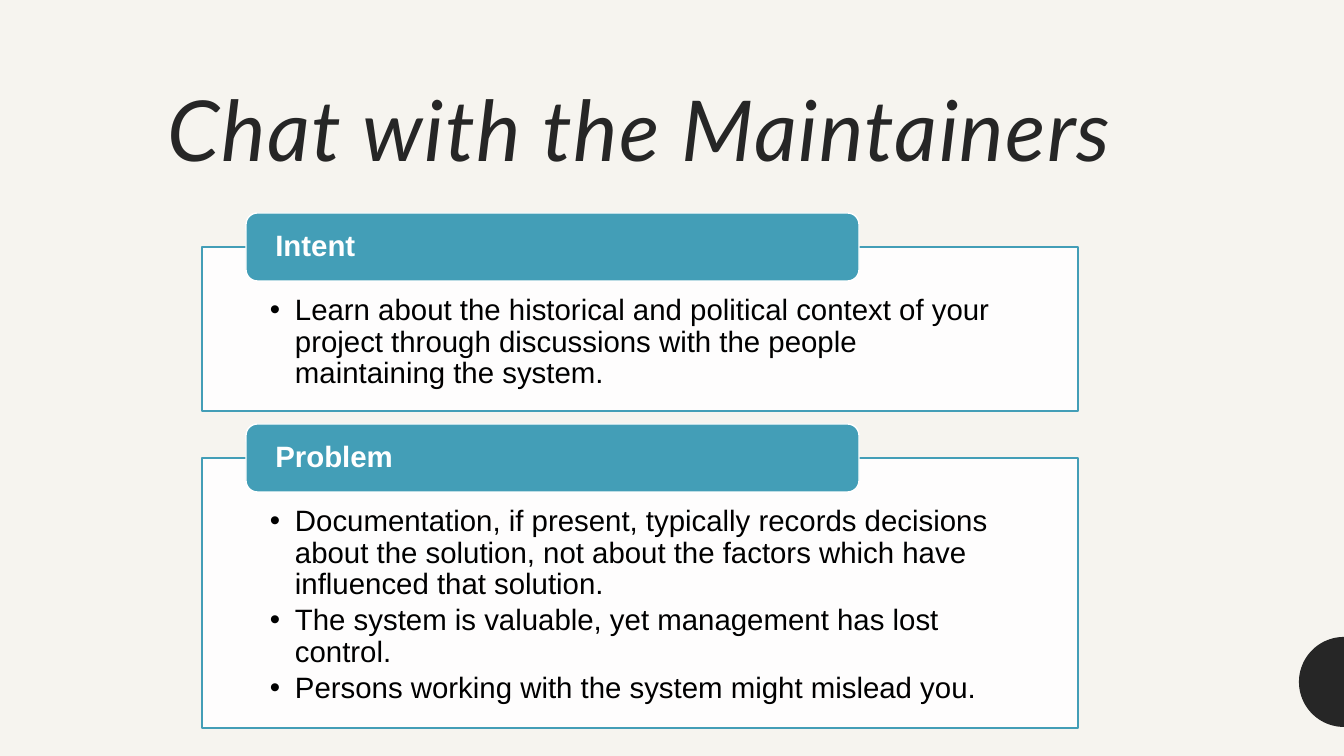
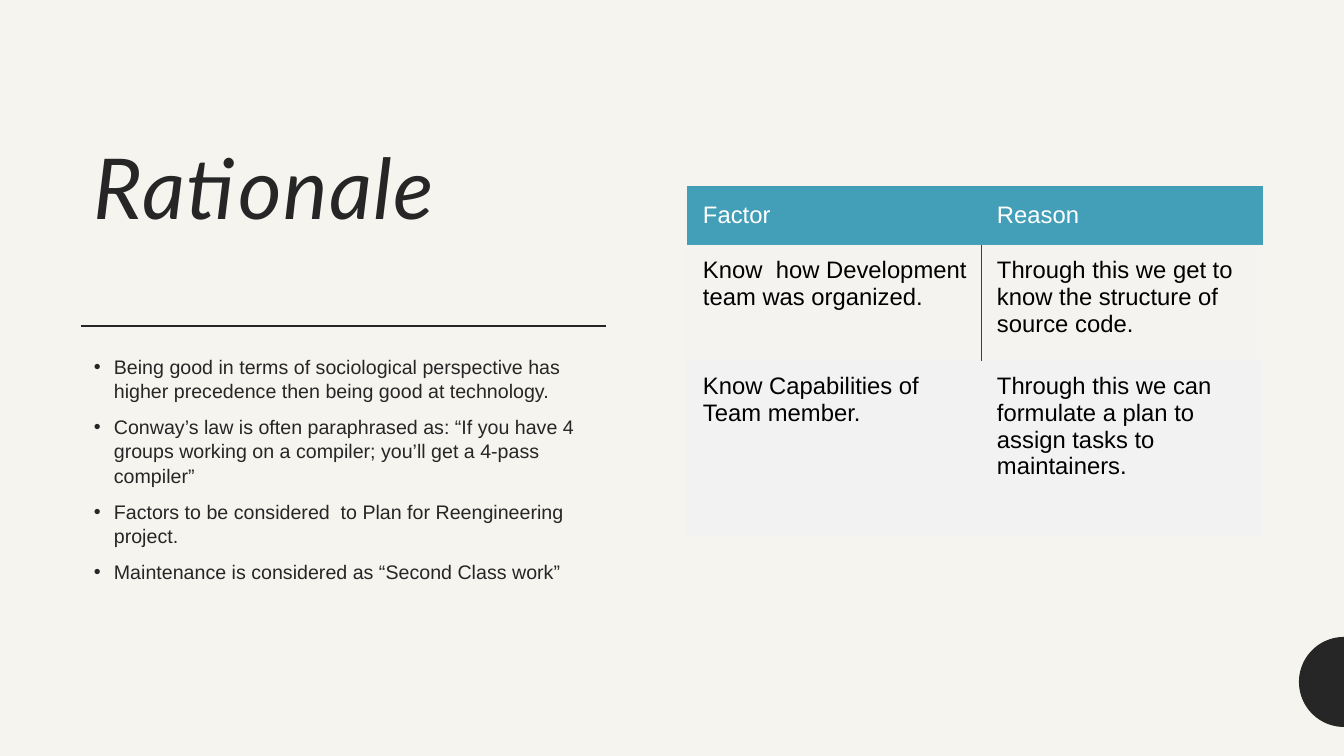
import math
from dataclasses import dataclass
from typing import Optional

from lxml import etree
from pptx import Presentation
from pptx.dml.color import RGBColor
from pptx.enum.shapes import MSO_CONNECTOR, MSO_SHAPE
from pptx.enum.text import MSO_ANCHOR, PP_ALIGN
from pptx.oxml.ns import qn
from pptx.util import Emu, Pt

RECTANGLE = MSO_SHAPE.RECTANGLE
ROUNDED = MSO_SHAPE.ROUNDED_RECTANGLE
STRAIGHT = MSO_CONNECTOR.STRAIGHT
TOP, MIDDLE = MSO_ANCHOR.TOP, MSO_ANCHOR.MIDDLE
LEFT, CENTER = PP_ALIGN.LEFT, PP_ALIGN.CENTER

SLIDE_W, SLIDE_H = 1344, 756
EMU_PER_PX = 12192000 / SLIDE_W

PAPER, INK, TEAL = "F6F4EF", "262626", "439EB7"
WHITE, BLACK, GREY, RULE = "FFFFFF", "000000", "F2F2F2", "404040"
TITLE_FONT, BODY_FONT = "Lato", "Arial"
NO_TABLE_STYLE = "{2D5ABB26-0587-4C30-8999-92F81FD0307C}"


@dataclass(frozen=True)
class Box:
    """A rectangle in pixels."""
    left: int
    top: int
    width: int
    height: int


@dataclass(frozen=True)
class TextStyle:
    """Character and paragraph look of a block of text."""
    size: float
    color: str
    font: str = BODY_FONT
    bold: bool = False
    italic: bool = False
    tracking: float = 0
    align: PP_ALIGN = LEFT
    line_spacing: float = 1.0
    before: float = 0
    after: float = 0
    bullet_indent: int = 0


@dataclass(frozen=True)
class Panel:
    """A framed list with a heading tab on its top edge."""
    heading: str
    points: list[str]
    top: int
    height: int


@dataclass(frozen=True)
class TableRow:
    """One table row with its height and look."""
    cells: list[str]
    height: int
    fill: str
    text_color: str = BLACK
    anchor: MSO_ANCHOR = TOP
    opacity: Optional[int] = None
    divided: bool = False


TAB_TEXT = TextStyle(21, WHITE, bold=True, line_spacing=0.9)
PANEL_TEXT = TextStyle(21, BLACK, line_spacing=0.9, after=3, bullet_indent=25)
BODY_TEXT = TextStyle(14, INK, line_spacing=1.04, before=4, after=4, bullet_indent=20)

PANELS = [
    Panel("Intent", [
        "Learn about the historical and political context of your project "
        "through discussions with the people maintaining the system.",
    ], 247, 164),
    Panel("Problem", [
        "Documentation, if present, typically records decisions about the "
        "solution, not about the factors which have influenced that solution.",
        "The system is valuable, yet management has lost control.",
        "Persons working with the system might mislead you.",
    ], 458, 270),
]

RATIONALE_POINTS = [
    "Being good in terms of sociological perspective has higher precedence "
    "then being good at technology.",
    "Conway’s law is often paraphrased as: “If you have 4 groups working on "
    "a compiler; you’ll get a 4-pass compiler”",
    "Factors to be considered  to Plan for Reengineering project.",
    "Maintenance is considered as “Second Class work”",
]

FACTOR_COLUMNS = [294, 282]
FACTOR_ROWS = [
    TableRow(["Factor", "Reason"], 59, TEAL, WHITE, MIDDLE),
    TableRow(["Know  how Development team was organized.",
              "Through this we get to know the structure of source code."],
             116, GREY, opacity=30, divided=True),
    TableRow(["Know Capabilities of Team member.",
              "Through this we can formulate a plan to assign tasks to maintainers."],
             175, GREY),
]


def px(length: float) -> Emu:
    """Turn pixels into EMU."""
    return Emu(round(length * EMU_PER_PX))


def place(box: Box) -> tuple[Emu, Emu, Emu, Emu]:
    """Give a box as left, top, width and height in EMU."""
    return px(box.left), px(box.top), px(box.width), px(box.height)


def rgb(color: str) -> RGBColor:
    """Turn a hex string into a colour."""
    return RGBColor.from_string(color)


def paint(fill, color: str) -> None:
    """Make a fill solid."""
    fill.solid()
    fill.fore_color.rgb = rgb(color)


def set_opacity(properties, percent: int) -> None:
    """Make the first solid fill under the properties translucent."""
    color = properties.find(f"{qn('a:solidFill')}/{qn('a:srgbClr')}")
    etree.SubElement(color, qn("a:alpha"), val=str(percent * 1000))


def set_margins(target, left: int, top: int, right: int, bottom: int) -> None:
    """Set the inner margins of a text frame or table cell."""
    target.margin_left, target.margin_top = px(left), px(top)
    target.margin_right, target.margin_bottom = px(right), px(bottom)


def write(frame, lines: list[str], style: TextStyle) -> None:
    """Fill a text frame with one styled paragraph for each line."""
    frame.word_wrap = True
    frame.text = "\n".join(lines)
    for paragraph in frame.paragraphs:
        paragraph.alignment = style.align
        paragraph.line_spacing = style.line_spacing
        paragraph.space_before = Pt(style.before)
        paragraph.space_after = Pt(style.after)
        if style.bullet_indent:
            properties = paragraph._p.get_or_add_pPr()
            properties.set("marL", str(px(style.bullet_indent)))
            properties.set("indent", str(-px(style.bullet_indent)))
            etree.SubElement(properties, qn("a:buFont"), typeface=BODY_FONT)
            etree.SubElement(properties, qn("a:buChar"), char="•")
        for run in paragraph.runs:
            font = run.font
            font.name, font.size = style.font, Pt(style.size)
            font.bold, font.italic = style.bold, style.italic
            font.color.rgb = rgb(style.color)
            if style.tracking:
                run._r.get_or_add_rPr().set("spc", str(round(style.tracking * 100)))


def add_block(slide, kind: MSO_SHAPE, box: Box, fill: str, line: str):
    """Add an outlined preset shape without a shadow."""
    block = slide.shapes.add_shape(kind, *place(box))
    block.shadow.inherit = False
    paint(block.fill, fill)
    block.line.color.rgb = rgb(line)
    block.line.width = Pt(1)
    return block


def add_text(slide, box: Box, lines: list[str], style: TextStyle,
             anchor: MSO_ANCHOR = TOP) -> None:
    """Add a wrapped text box."""
    frame = slide.shapes.add_textbox(*place(box)).text_frame
    frame.vertical_anchor = anchor
    write(frame, lines, style)


def add_title(slide, box: Box, title: str, align: PP_ALIGN, anchor: MSO_ANCHOR) -> None:
    """Add a title in the shared style."""
    style = TextStyle(60, INK, TITLE_FONT, italic=True, tracking=1,
                      align=align, line_spacing=0.9)
    add_text(slide, box, [title], style, anchor)


def add_edge_disc(slide) -> None:
    """Add the dark half disc on the right edge."""
    center_y, radius, steps = 682, 45, 48
    angles = [math.pi * (0.5 + step / steps) for step in range(steps + 1)]
    points = [(px(SLIDE_W + radius * math.cos(angle)),
               px(center_y + radius * math.sin(angle))) for angle in angles]
    builder = slide.shapes.build_freeform(*points[0])
    builder.add_line_segments(points[1:], close=True)
    disc = builder.convert_to_shape()
    disc.shadow.inherit = False
    paint(disc.fill, INK)
    disc.line.fill.background()


def add_base_slide(deck):
    """Add a blank slide with the shared background and edge disc."""
    slide = deck.slides.add_slide(deck.slide_layouts[6])
    paint(slide.background.fill, PAPER)
    add_edge_disc(slide)
    return slide


def add_panel(slide, panel: Panel) -> None:
    """Add a framed list and its heading tab."""
    left, tab_height = 202, 68
    frame = add_block(slide, RECTANGLE, Box(left, panel.top, 876, panel.height), WHITE, TEAL)
    set_opacity(frame._element.spPr, 90)
    frame.text_frame.vertical_anchor = TOP
    set_margins(frame.text_frame, 68, 48, 68, 16)
    write(frame.text_frame, panel.points, PANEL_TEXT)

    tab_box = Box(left + 44, panel.top - tab_height // 2, 613, tab_height)
    tab = add_block(slide, ROUNDED, tab_box, TEAL, WHITE)
    tab.text_frame.vertical_anchor = MIDDLE
    set_margins(tab.text_frame, 26, 0, 26, 0)
    write(tab.text_frame, [panel.heading], TAB_TEXT)


def add_divider(slide, left: int, right: int, y: int) -> None:
    """Add a horizontal rule."""
    divider = slide.shapes.add_connector(STRAIGHT, px(left), px(y), px(right), px(y))
    divider.line.color.rgb = rgb(INK)
    divider.line.width = Pt(1.5)
    etree.SubElement(divider._element.spPr, qn("a:effectLst"))


def add_cell_border(cell, side: str) -> None:
    """Draw a thin line on one side of a cell."""
    border = etree.Element(qn(f"a:{side}"), w=str(Pt(0.5)))
    solid = etree.SubElement(border, qn("a:solidFill"))
    etree.SubElement(solid, qn("a:srgbClr"), val=RULE)
    cell._tc.get_or_add_tcPr().insert(0, border)


def add_factor_table(slide, left: int, top: int) -> None:
    """Add the table of factors and reasons."""
    box = Box(left, top, sum(FACTOR_COLUMNS), sum(row.height for row in FACTOR_ROWS))
    table = slide.shapes.add_table(len(FACTOR_ROWS), len(FACTOR_COLUMNS), *place(box)).table
    table.horz_banding = False
    table._tbl.tblPr.find(qn("a:tableStyleId")).text = NO_TABLE_STYLE
    for column, width in zip(table.columns, FACTOR_COLUMNS):
        column.width = px(width)
    for index, row in enumerate(FACTOR_ROWS):
        table.rows[index].height = px(row.height)
        for cell, content, side in zip(table.rows[index].cells, row.cells, ("lnR", "lnL")):
            cell.vertical_anchor = row.anchor
            set_margins(cell, 16, 12, 12, 12)
            write(cell.text_frame, [content], TextStyle(17, row.text_color))
            paint(cell.fill, row.fill)
            if row.opacity is not None:
                set_opacity(cell._tc.get_or_add_tcPr(), row.opacity)
            if row.divided:
                add_cell_border(cell, side)


def build_maintainers(deck) -> None:
    """Build the slide on talking with the maintainers."""
    slide = add_base_slide(deck)
    add_title(slide, Box(84, 84, 1112, 159), "Chat with the Maintainers", CENTER, TOP)
    for panel in PANELS:
        add_panel(slide, panel)


def build_rationale(deck) -> None:
    """Build the slide on the rationale."""
    slide = add_base_slide(deck)
    add_title(slide, Box(84, 84, 527, 217), "Rationale", LEFT, MIDDLE)
    add_divider(slide, 81, 606, 326)
    add_text(slide, Box(84, 349, 527, 289), RATIONALE_POINTS, BODY_TEXT)
    add_factor_table(slide, 687, 186)


def main() -> None:
    """Build and save the presentation."""
    deck = Presentation()
    deck.slide_width, deck.slide_height = px(SLIDE_W), px(SLIDE_H)
    build_maintainers(deck)
    build_rationale(deck)
    deck.save("out.pptx")


main()
